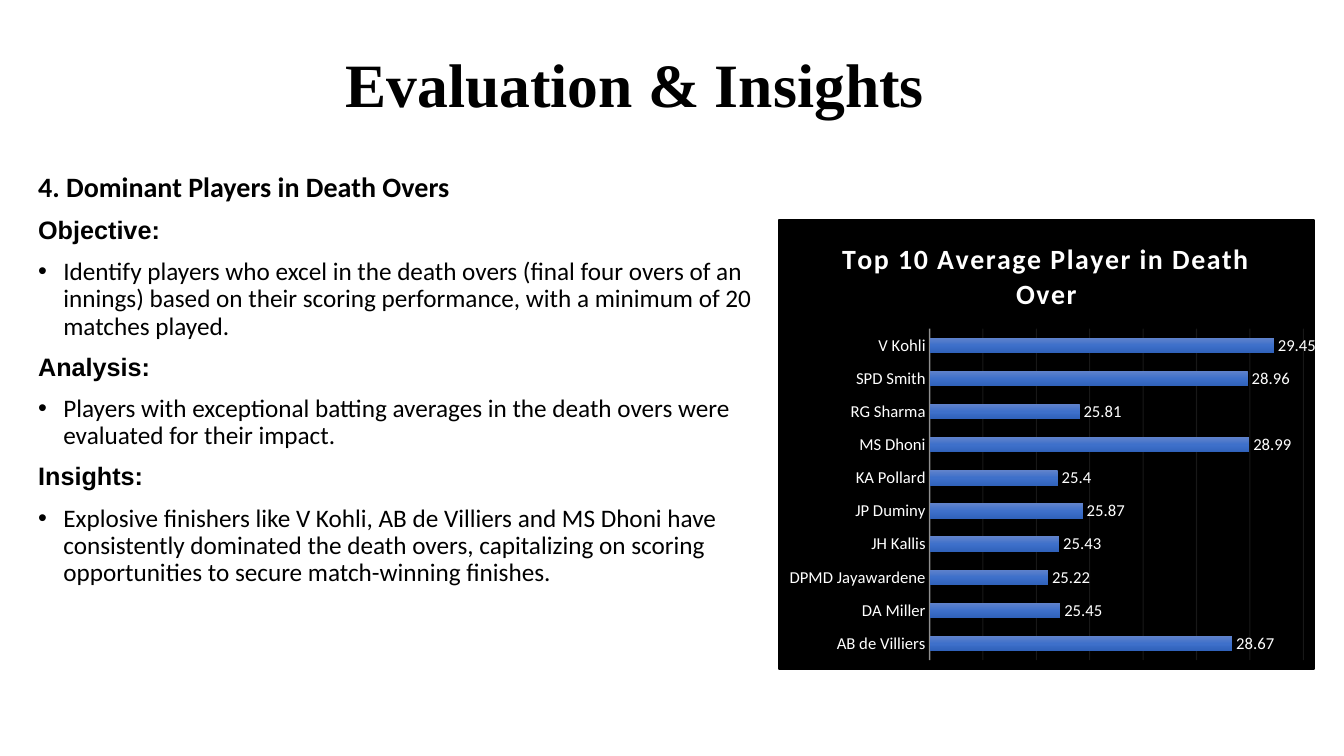
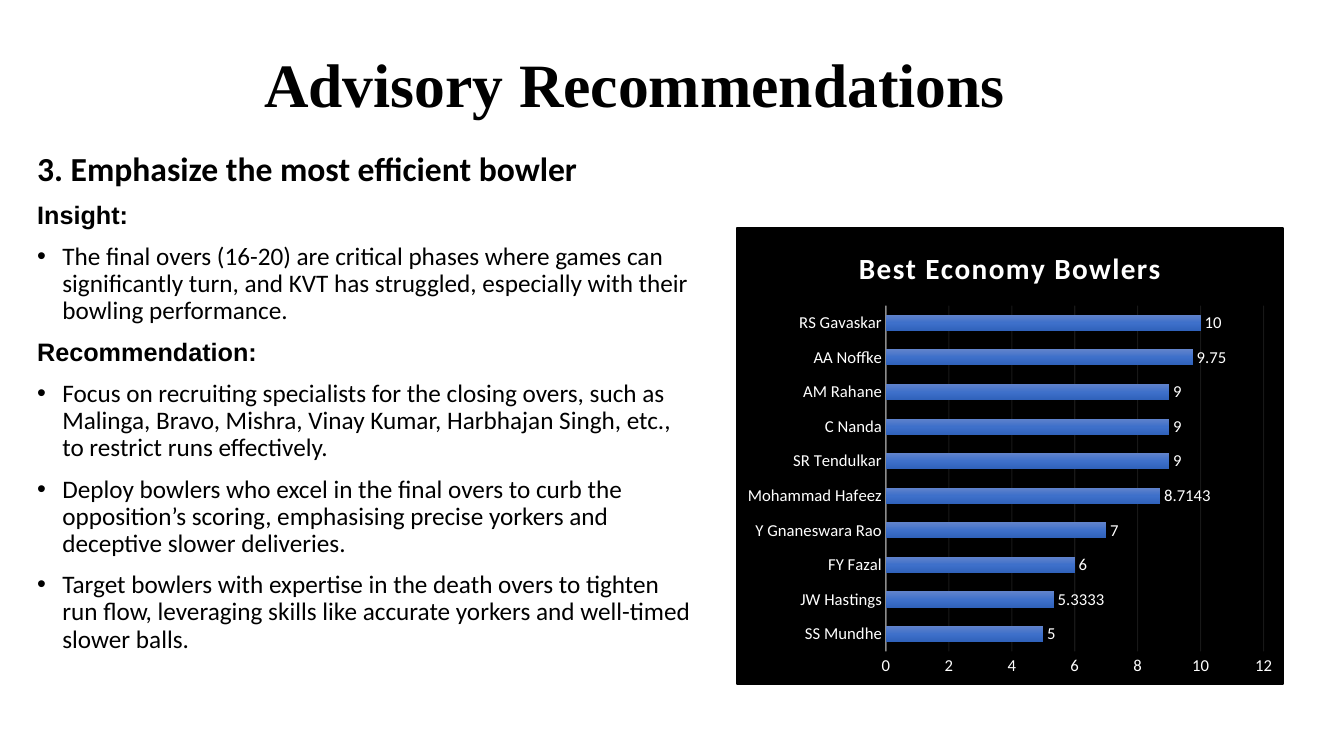
from lxml.etree import SubElement
from pptx import Presentation
from pptx.chart.data import CategoryChartData
from pptx.dml.color import RGBColor
from pptx.enum.chart import XL_CHART_TYPE as ChartType
from pptx.enum.chart import XL_LABEL_POSITION as LabelPosition
from pptx.enum.chart import XL_TICK_MARK as TickMark
from pptx.enum.text import MSO_ANCHOR as Anchor
from pptx.enum.text import PP_ALIGN as Align
from pptx.oxml import parse_xml
from pptx.oxml.ns import nsdecls, qn
from pptx.util import Inches, Pt

WIDTH, HEIGHT = Inches(13.33), Inches(7.5)
BLACK, WHITE, PALE = "000000", "FFFFFF", "F2F2F2"
BAR_GRADIENT = [(0, "6183CB"), (50, "3E70CA"), (100, "3062BB")]
SERIF, SANS, BODY = "Times New Roman", "Arial", "Calibri"
TITLE_AREA = (5.7, 8.27, 83.1, 6.67)
HEADING, LABEL, BULLET = "heading", "label", "bullet"

SLIDES = [
    {
        "title": "Evaluation & Insights",
        "body_area": (2.1, 22.27, 56.55, 68.13),
        "heading_size": 20,
        "body": [
            (HEADING, "4. Dominant Players in Death Overs"),
            (LABEL, "Objective:"),
            (BULLET, "Identify players who excel in the death overs (final four "
                     "overs of an innings) based on their scoring performance, "
                     "with a minimum of 20 matches played."),
            (LABEL, "Analysis:"),
            (BULLET, "Players with exceptional batting averages in the death "
                     "overs were evaluated for their impact."),
            (LABEL, "Insights:"),
            (BULLET, "Explosive finishers like V Kohli, AB de Villiers and MS "
                     "Dhoni have consistently dominated the death overs, "
                     "capitalizing on scoring opportunities to secure "
                     "match-winning finishes."),
        ],
        "chart": {
            "area": (57.87, 28.93, 40.05, 59.73),
            "title": "Top 10 Average Player in Death Over",
            "title_size": 20,
            "scale": (23, 30, 1),
            "show_scale": False,
            "values": {
                "AB de Villiers": 28.67, "DA Miller": 25.45,
                "DPMD Jayawardene": 25.22, "JH Kallis": 25.43,
                "JP Duminy": 25.87, "KA Pollard": 25.4, "MS Dhoni": 28.99,
                "RG Sharma": 25.81, "SPD Smith": 28.96, "V Kohli": 29.45,
            },
        },
    },
    {
        "title": "Advisory Recommendations",
        "body_area": (2.03, 19.47, 50.25, 76.13),
        "heading_size": 24,
        "body": [
            (HEADING, "3. Emphasize the most efficient bowler"),
            (LABEL, "Insight:"),
            (BULLET, "The final overs (16-20) are critical phases where games can "
                     "significantly turn, and KVT has struggled, especially with "
                     "their bowling performance."),
            (LABEL, "Recommendation:"),
            (BULLET, "Focus on recruiting specialists for the closing overs, such "
                     "as Malinga, Bravo, Mishra, Vinay Kumar, Harbhajan Singh, "
                     "etc., to restrict runs effectively."),
            (BULLET, "Deploy bowlers who excel in the final overs to curb the "
                     "opposition’s scoring, emphasising precise yorkers and "
                     "deceptive slower deliveries."),
            (BULLET, "Target bowlers with expertise in the death overs to tighten "
                     "run flow, leveraging skills like accurate yorkers and "
                     "well-timed slower balls."),
        ],
        "chart": {
            "area": (54.75, 30, 40.8, 60.67),
            "title": "Best Economy Bowlers",
            "title_size": 21,
            "scale": (0, 12, 2),
            "show_scale": True,
            "values": {
                "SS Mundhe": 5, "JW Hastings": 5.3333, "FY Fazal": 6,
                "Y Gnaneswara Rao": 7, "Mohammad Hafeez": 8.7143,
                "SR Tendulkar": 9, "C Nanda": 9, "AM Rahane": 9,
                "AA Noffke": 9.75, "RS Gavaskar": 10,
            },
        },
    },
]


def color(value):
    return RGBColor.from_string(value)


def place(area):
    """Turn percentages of the slide into left, top, width and height."""
    return [int(side * share / 100)
            for side, share in zip((WIDTH, HEIGHT) * 2, area)]


def style_font(font, name, size, value, bold=False):
    font.name, font.size, font.bold = name, Pt(size), bold
    font.color.rgb = color(value)


def add_text_frame(slide, area):
    text_frame = slide.shapes.add_textbox(*place(area)).text_frame
    text_frame.word_wrap = True
    return text_frame


def add_title(slide, text):
    text_frame = add_text_frame(slide, TITLE_AREA)
    text_frame.vertical_anchor = Anchor.MIDDLE
    text_frame.text = text
    paragraph = text_frame.paragraphs[0]
    paragraph.alignment, paragraph.line_spacing = Align.CENTER, 0.9
    style_font(paragraph.runs[0].font, SERIF, 44, BLACK, True)


def add_bullet(paragraph):
    properties = paragraph._p.get_or_add_pPr()
    properties.set("marL", str(Inches(0.25)))
    properties.set("indent", str(-Inches(0.25)))
    SubElement(properties, qn("a:buFont"), typeface=SANS)
    SubElement(properties, qn("a:buChar"), char="•")


def add_body(slide, area, content, heading_size):
    styles = {HEADING: (BODY, heading_size, BLACK, True),
              LABEL: (SANS, 18, BLACK, True),
              BULLET: (BODY, 18, BLACK, False)}
    text_frame = add_text_frame(slide, area)
    text_frame.text = "\n".join(text for _, text in content)
    for paragraph, (kind, _) in zip(text_frame.paragraphs, content):
        paragraph.line_spacing, paragraph.space_before = 0.9, Pt(10)
        style_font(paragraph.runs[0].font, *styles[kind])
        if kind == BULLET:
            add_bullet(paragraph)


def style_line(line, width, opacity):
    line.width = Pt(width)
    line.color.rgb = color(PALE)
    for solid_color in line._ln.iter(qn("a:srgbClr")):
        SubElement(solid_color, qn("a:alpha"), val=str(opacity * 1000))


def fill_chart_area(chart):
    fill = f'<a:solidFill><a:srgbClr val="{BLACK}"/></a:solidFill>'
    chart._chartSpace.find(qn("c:chart")).addnext(parse_xml(
        f'<c:spPr {nsdecls("c", "a")}>{fill}'
        f'<a:ln w="{Pt(1.5)}">{fill}</a:ln></c:spPr>'))


def fill_bars(series):
    stops = "".join(f'<a:gs pos="{position * 1000}"><a:srgbClr val="{value}"/></a:gs>'
                    for position, value in BAR_GRADIENT)
    series._element.get_or_add_spPr().insert(0, parse_xml(
        f'<a:gradFill {nsdecls("a")}><a:gsLst>{stops}</a:gsLst>'
        '<a:lin ang="5400000" scaled="0"/></a:gradFill>'))
    series.invert_if_negative = False


def style_chart_title(chart, text, size):
    text_frame = chart.chart_title.text_frame
    text_frame.text = text
    run = text_frame.paragraphs[0].runs[0]
    style_font(run.font, BODY, size, WHITE, True)
    run._r.get_or_add_rPr().set("spc", "100")


def style_axes(chart, scale, show_scale):
    category_axis, value_axis = chart.category_axis, chart.value_axis
    for axis in (category_axis, value_axis):
        axis.major_tick_mark = axis.minor_tick_mark = TickMark.NONE
        style_font(axis.tick_labels.font, BODY, 12, WHITE)
    style_line(category_axis.format.line, 1, 54)
    value_axis.minimum_scale, value_axis.maximum_scale, value_axis.major_unit = scale
    value_axis.visible = show_scale
    value_axis.format.line.fill.background()
    value_axis.has_major_gridlines = True
    style_line(value_axis.major_gridlines.format.line, 0.75, 10)


def add_bar_chart(slide, area, title, title_size, scale, show_scale, values):
    data = CategoryChartData()
    data.categories = list(values)
    data.add_series("Series 1", list(values.values()))
    chart = slide.shapes.add_chart(ChartType.BAR_CLUSTERED, *place(area), data).chart
    style_font(chart.font, BODY, 10, WHITE)
    chart.has_legend = False
    fill_chart_area(chart)
    style_chart_title(chart, title, title_size)
    style_axes(chart, scale, show_scale)
    plot = chart.plots[0]
    plot.gap_width, plot.overlap, plot.vary_by_categories = 115, -20, False
    fill_bars(plot.series[0])
    labels = plot.series[0].data_labels
    labels.show_value, labels.position = True, LabelPosition.OUTSIDE_END
    style_font(labels.font, BODY, 12, WHITE)


def main():
    presentation = Presentation()
    presentation.slide_width, presentation.slide_height = WIDTH, HEIGHT
    for content in SLIDES:
        slide = presentation.slides.add_slide(presentation.slide_layouts[6])
        add_title(slide, content["title"])
        add_body(slide, content["body_area"], content["body"], content["heading_size"])
        add_bar_chart(slide, **content["chart"])
    presentation.save("out.pptx")


if __name__ == "__main__":
    main()
